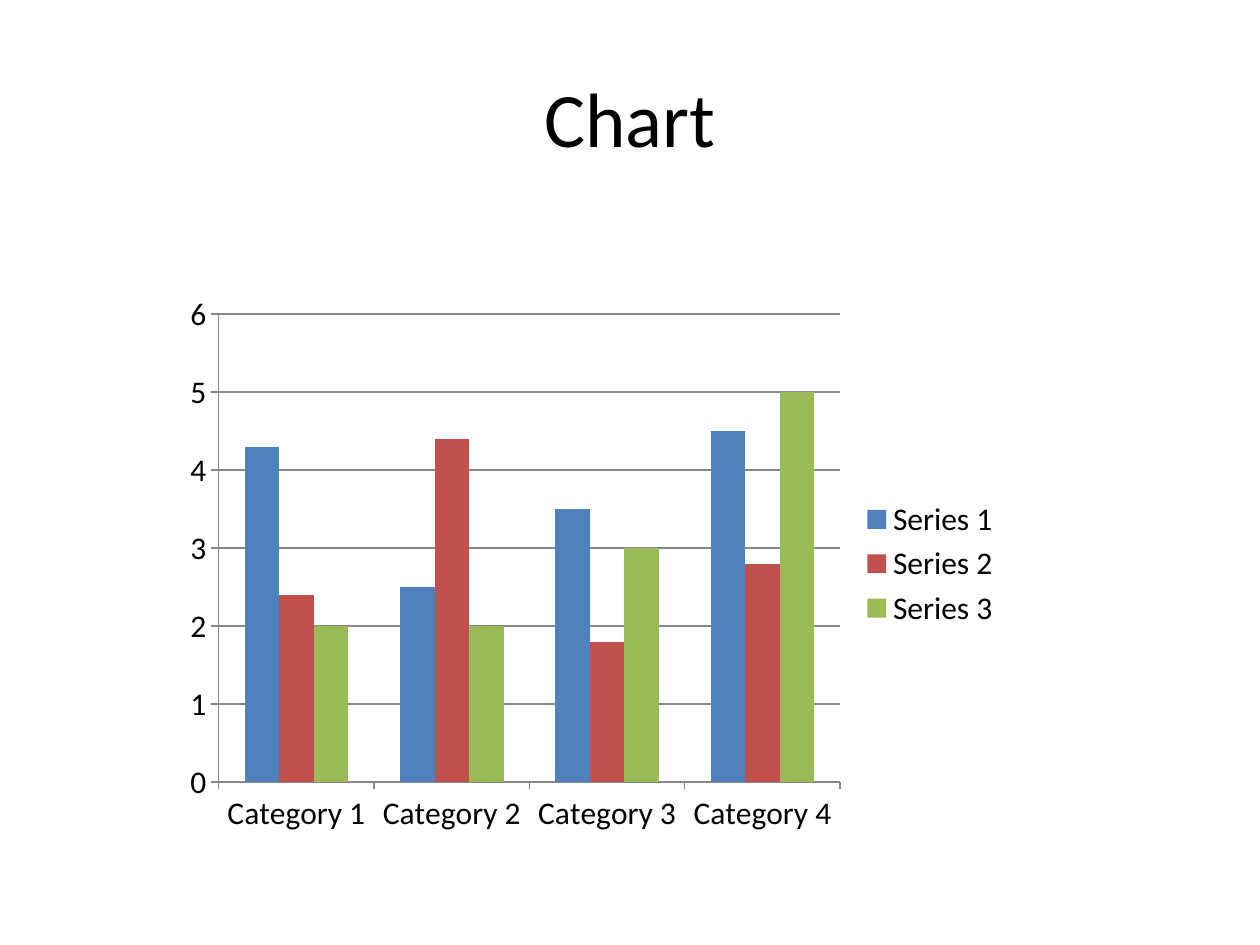
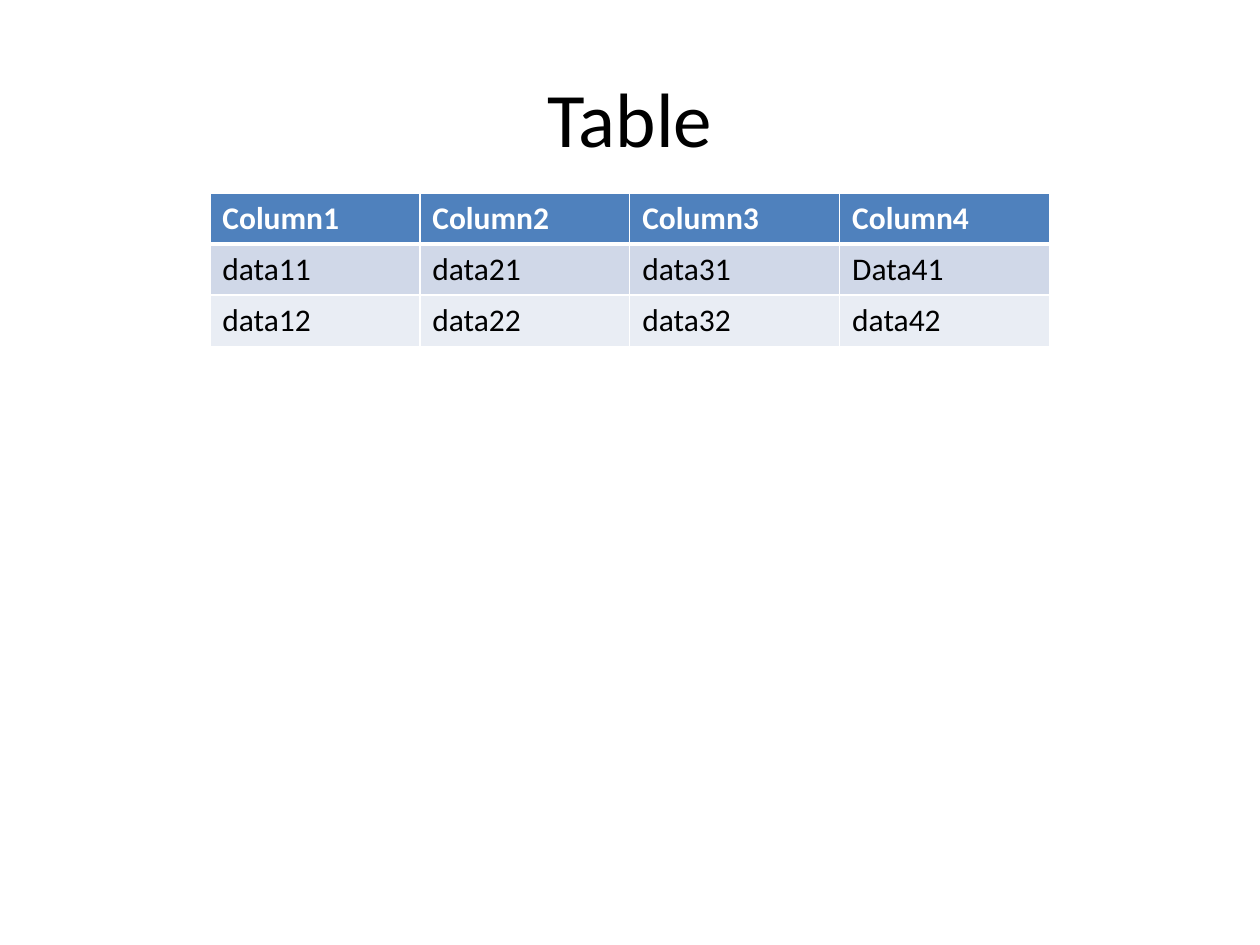
from dataclasses import dataclass

from lxml import etree
from pptx import Presentation
from pptx.chart.data import CategoryChartData
from pptx.dml.color import RGBColor
from pptx.enum.chart import XL_CHART_TYPE, XL_LEGEND_POSITION, XL_TICK_MARK
from pptx.enum.text import MSO_ANCHOR, PP_ALIGN
from pptx.oxml.ns import qn
from pptx.util import Cm, Pt

CLUSTERED = XL_CHART_TYPE.COLUMN_CLUSTERED
LEGEND_RIGHT = XL_LEGEND_POSITION.RIGHT
TICK_OUT = XL_TICK_MARK.OUTSIDE
MIDDLE = MSO_ANCHOR.MIDDLE
CENTER = PP_ALIGN.CENTER


@dataclass(frozen=True)
class Theme:
    """Colours, font and type sizes shared by the slides."""
    font: str = "Calibri"
    title_size: int = 44
    body_size: int = 18
    text: str = "000000"
    white: str = "FFFFFF"
    axis: str = "878787"
    series: tuple = ("4F81BD", "C0504D", "9BBB59")
    header: str = "4F81BD"
    bands: tuple = ("D0D8E8", "E9EDF4")


T = Theme()
rgb = RGBColor.from_string


def add_titled_slide(prs, title):
    """Add a blank slide with a centred title and return it."""
    s = prs.slides.add_slide(prs.slide_layouts[6])
    tf = s.shapes.add_textbox(Cm(1.27), Cm(0.76), Cm(22.86), Cm(3.18)).text_frame
    tf.word_wrap = True
    tf.vertical_anchor = MIDDLE
    tf.text = title
    p = tf.paragraphs[0]
    p.alignment = CENTER
    font = p.runs[0].font
    font.name, font.size = T.font, Pt(T.title_size)
    font.color.rgb = rgb(T.text)
    return s


def add_border(cell, side, width):
    """Draw a solid white line on one side of a table cell."""
    ln = etree.SubElement(cell._tc.get_or_add_tcPr(), qn(f"a:ln{side}"), w=str(Pt(width)))
    fill = etree.SubElement(ln, qn("a:solidFill"))
    etree.SubElement(fill, qn("a:srgbClr"), val=T.white)


prs = Presentation()
prs.slide_width, prs.slide_height = Cm(25.4), Cm(19.05)

# Chart slide
s = add_titled_slide(prs, "Chart")
data = CategoryChartData()
data.categories = [f"Category {n}" for n in range(1, 5)]
data.add_series("Series 1", (4.3, 2.5, 3.5, 4.5))
data.add_series("Series 2", (2.4, 4.4, 1.8, 2.8))
data.add_series("Series 3", (2, 2, 3, 5))
chart = s.shapes.add_chart(CLUSTERED, Cm(3.5), Cm(5.72), Cm(16.93), Cm(11.29), data).chart
chart.has_title = False
chart.font.name, chart.font.size = T.font, Pt(T.body_size)
chart.font.color.rgb = rgb(T.text)
chart.has_legend = True
chart.legend.position = LEGEND_RIGHT
chart.legend.include_in_layout = False

plot = chart.plots[0]
plot.gap_width = 150
plot.overlap = 0
plot.vary_by_categories = False
for series, color in zip(plot.series, T.series):
    series.format.fill.solid()
    series.format.fill.fore_color.rgb = rgb(color)

chart.value_axis.has_major_gridlines = True
for axis in (chart.category_axis, chart.value_axis):
    axis.major_tick_mark = TICK_OUT
    axis.format.line.color.rgb = rgb(T.axis)
chart.value_axis.major_gridlines.format.line.color.rgb = rgb(T.axis)

# Table slide
s = add_titled_slide(prs, "Table")
rows = [
    ["Column1", "Column2", "Column3", "Column4"],
    ["data11", "data21", "data31", "Data41"],
    ["data12", "data22", "data32", "data42"],
]
table = s.shapes.add_table(len(rows), len(rows[0]), Cm(4.23), Cm(3.89),
                           Cm(16.93), Cm(3.09)).table
for i, row in enumerate(rows):
    is_header = i == 0
    for j, value in enumerate(row):
        cell = table.cell(i, j)
        widths = {"L": 1, "R": 1, "T": 3 if i == 1 else 1, "B": 3 if is_header else 1}
        for side, width in widths.items():
            add_border(cell, side, width)
        cell.fill.solid()
        cell.fill.fore_color.rgb = rgb(T.header if is_header else T.bands[(i - 1) % 2])
        cell.text_frame.text = value
        font = cell.text_frame.paragraphs[0].runs[0].font
        font.name, font.size, font.bold = T.font, Pt(T.body_size), is_header
        font.color.rgb = rgb(T.white if is_header else T.text)

prs.save("out.pptx")
